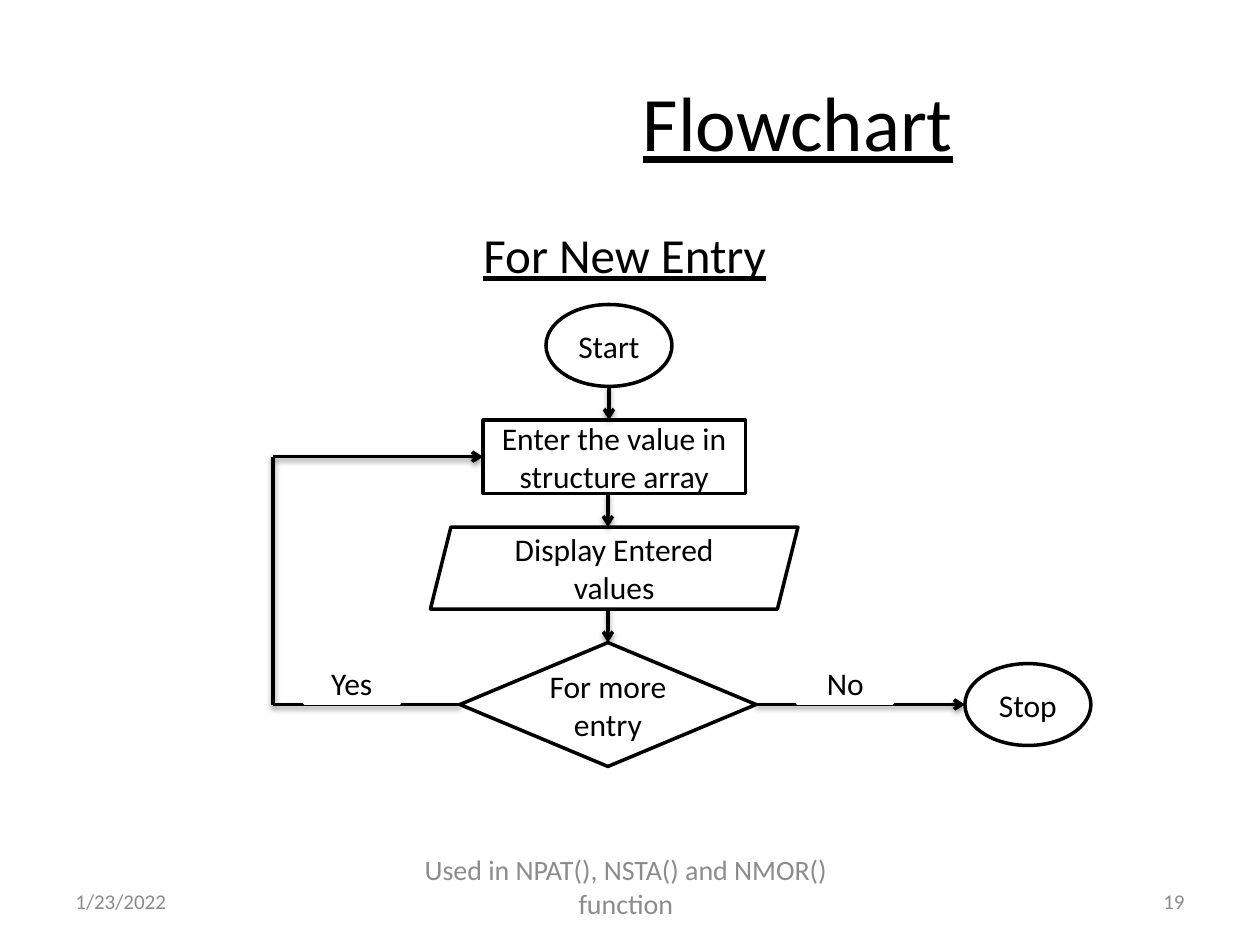
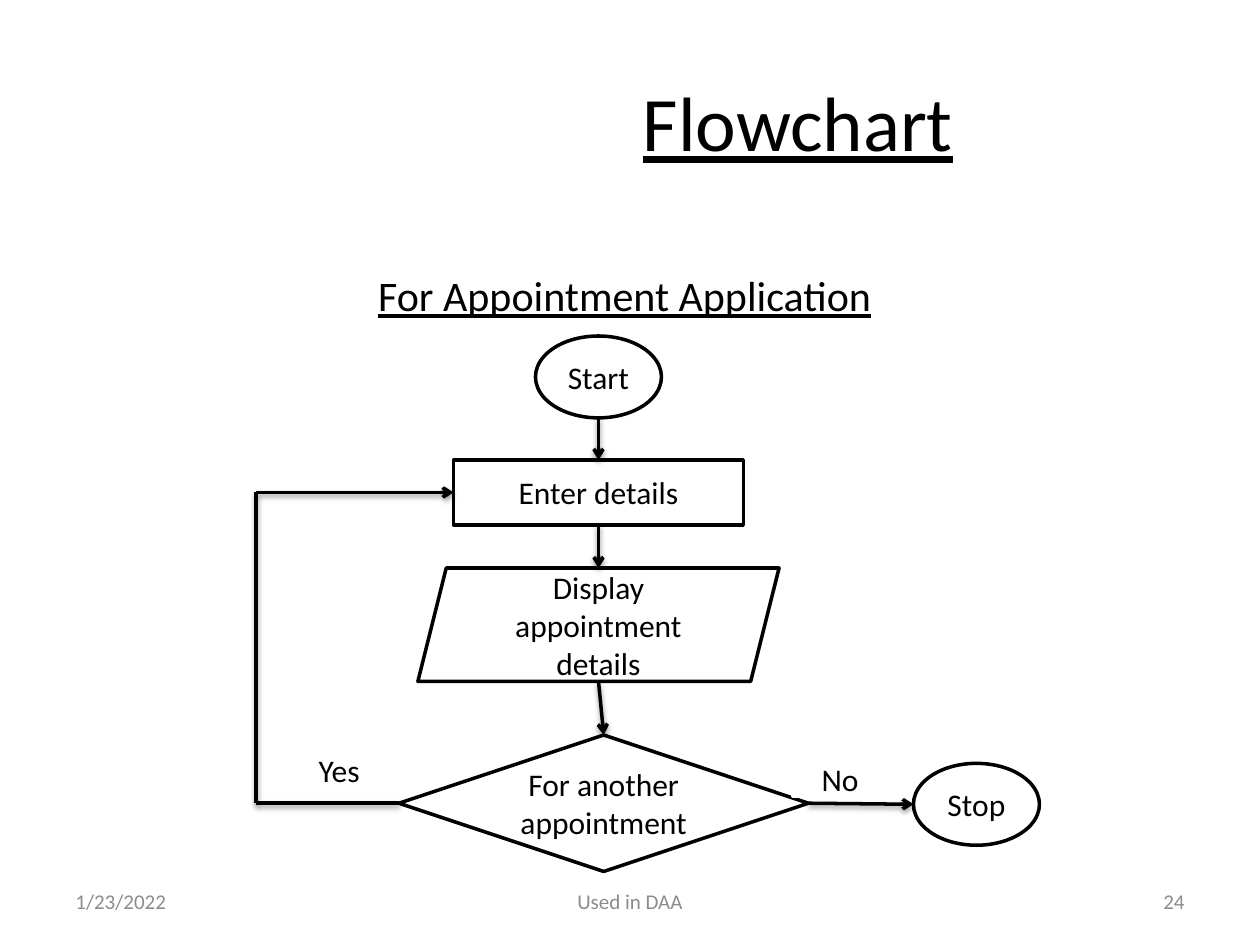
import pptx
import pptx.util
import pptx.dml.color
import pptx.enum.shapes
import pptx.enum.text
import pptx.oxml

RGBColor = pptx.dml.color.RGBColor
Pt = pptx.util.Pt
Inches = pptx.util.Inches
SHAPE = pptx.enum.shapes.MSO_SHAPE
ALIGN = pptx.enum.text.PP_ALIGN
ANCHOR = pptx.enum.text.MSO_ANCHOR

BLACK = RGBColor(0x00, 0x00, 0x00)
WHITE = RGBColor(0xFF, 0xFF, 0xFF)
GREY = RGBColor(0x8C, 0x8C, 0x8C)
FONT = "Calibri"
COLS, ROWS = 120, 90
NS = 'xmlns:a="http://schemas.openxmlformats.org/drawingml/2006/main"'
HEAD = f'<a:tailEnd {NS} type="arrow"/>'
SHADE = (f'<a:effectLst {NS}><a:outerShdw blurRad="{Pt(3.1)}" dist="{Pt(1.6)}" '
         'dir="5400000" rotWithShape="0"><a:srgbClr val="000000">'
         '<a:alpha val="38000"/></a:srgbClr></a:outerShdw></a:effectLst>')


class Deck:
    """Holds the style and the current slide; lengths are grid columns and rows."""

    def __init__(self):
        self.prs = pptx.Presentation()
        self.prs.slide_width, self.prs.slide_height = Inches(10), Inches(7.5)
        self.col = self.prs.slide_width / COLS
        self.row = self.prs.slide_height / ROWS

    def place(self, *spans):
        """Turn alternating columns and rows into lengths."""
        units = (self.col, self.row)
        return [round(n * units[i % 2]) for i, n in enumerate(spans)]

    def page(self, head, size, top, tall, inset):
        self.slide = self.prs.slides.add_slide(self.prs.slide_layouts[6])
        self.joins = []
        self.box(SHAPE.RECTANGLE, (36, 4, 80, 15), "Flowchart", 44, WHITE, True)
        panel = self.box(SHAPE.RECTANGLE, (3, top, 113, tall), head, size, WHITE, True)
        panel.text_frame.vertical_anchor = ANCHOR.TOP
        panel.text_frame.margin_top = Inches(inset)

    def label(self, shape, text, size, color, align, under=False):
        frame = shape.text_frame
        frame.word_wrap = True
        frame.vertical_anchor = ANCHOR.MIDDLE
        para = frame.paragraphs[0]
        para.alignment = align
        run = para.add_run()
        run.text = text
        font = run.font
        font.name, font.size, font.underline = FONT, Pt(size), under
        font.color.rgb = color

    def note(self, area, text, align, size=12):
        shape = self.slide.shapes.add_textbox(*self.place(*area))
        self.label(shape, text, size, GREY, align)

    def foot(self, text, area, number, size=12):
        self.note((6, 83.4, 28, 4.8), "1/23/2022", ALIGN.LEFT)
        self.note(area, text, ALIGN.CENTER, size)
        self.note((86, 83.4, 28, 4.8), number, ALIGN.RIGHT)

    def box(self, kind, area, text, size=18, edge=BLACK, under=False):
        shape = self.slide.shapes.add_shape(kind, *self.place(*area))
        shape.shadow.inherit = False
        shape.fill.solid()
        shape.fill.fore_color.rgb = WHITE
        shape.line.color.rgb = edge
        shape.line.width = Pt(2)
        self.label(shape, text, size, BLACK, ALIGN.CENTER, under)
        return shape

    def node(self, kind, area, text):
        """Draw a box whose side middles can hold connectors."""
        shape = self.box(kind, area, text)
        x, y, w, h = area
        sides = ((x + w / 2, y), (x, y + h / 2), (x + w / 2, y + h), (x + w, y + h / 2))
        self.joins += [(shape, i, spot) for i, spot in enumerate(sides)]

    def link(self, start, end, arrow=True):
        """Draw a line, joined wherever it meets the middle of a node's side."""
        line = self.slide.shapes.add_connector(
            pptx.enum.shapes.MSO_CONNECTOR.STRAIGHT, *self.place(*start, *end))
        line.line.color.rgb = BLACK
        line.line.width = Pt(2)
        props = line._element.spPr
        if arrow:
            props.get_or_add_ln().append(pptx.oxml.parse_xml(HEAD))
        props.append(pptx.oxml.parse_xml(SHADE))
        for point, join in ((start, line.begin_connect), (end, line.end_connect)):
            for shape, side, spot in self.joins:
                if max(abs(a - b) for a, b in zip(point, spot)) < 0.1:
                    join(shape, side)

    def flow(self, begin, enter, show, ask, stop, yes, no, drops, back):
        """Draw the chart; drops are the columns of each downward arrow's ends."""
        areas = [area for area, _ in (begin, enter, show, ask)]
        self.box(SHAPE.OVAL, *begin)
        self.node(SHAPE.RECTANGLE, *enter)
        self.box(SHAPE.PARALLELOGRAM, *show)
        self.node(SHAPE.DIAMOND, *ask)
        self.box(SHAPE.OVAL, *stop)
        for (x1, x2), above, below in zip(drops, areas, areas[1:]):
            self.link((x1, above[1] + above[3]), (x2, below[1]))
        x, y, w, h = areas[3]
        low = y + h / 2
        left, top, _, tall = areas[1]
        high = top + tall / 2
        self.link((x, low), (back, low), False)
        self.link((back, low), (back, high), False)
        self.link((back, high), (left, high))
        end = stop[0]
        self.link((x + w, low), (end[0], end[1] + end[3] / 2))
        for area, text in ((yes, "Yes"), (no, "No")):
            self.box(SHAPE.RECTANGLE, area, text, edge=WHITE)


def main():
    deck = Deck()

    deck.page("For New Entry", 28, 20.2, 60, 0.1)
    deck.flow(
        begin=((52, 29, 12, 7.8), "Start"),
        enter=((46, 40, 25, 7), "Enter the value in structure array"),
        show=((41, 50.2, 35, 7.8), "Display Entered values"),
        ask=((43.8, 61.2, 28.2, 11.8), "For more entry"),
        stop=((91.9, 63.2, 12, 7.8), "Stop"),
        yes=(29, 63, 9, 4), no=(76, 63, 9, 4),
        drops=[(58, 58), (57.9, 57.9), (57.9, 57.9)], back=26)
    deck.foot("Used in NPAT(), NSTA() and NMOR() function", (36.6, 82, 46, 4.8), "19", 16)

    deck.page("For Appointment Application", 24, 23.9, 56, 0.15)
    deck.flow(
        begin=((51, 32, 12, 7.8), "Start"),
        enter=((43.2, 43.8, 27.6, 6.2), "Enter details"),
        show=((39.8, 54.1, 34.4, 10.8), "Display appointment details"),
        ask=((38, 70, 39, 13), "For another appointment"),
        stop=((87, 72.7, 12, 7.8), "Stop"),
        yes=(27.8, 71.3, 9, 4), no=(75.5, 72.6, 9, 3.2),
        drops=[(57, 57), (57, 57), (57, 57.5)], back=24.4)
    deck.foot("Used in DAA", (41, 83.4, 38, 4.8), "24")

    deck.prs.save("out.pptx")


if __name__ == "__main__":
    main()
